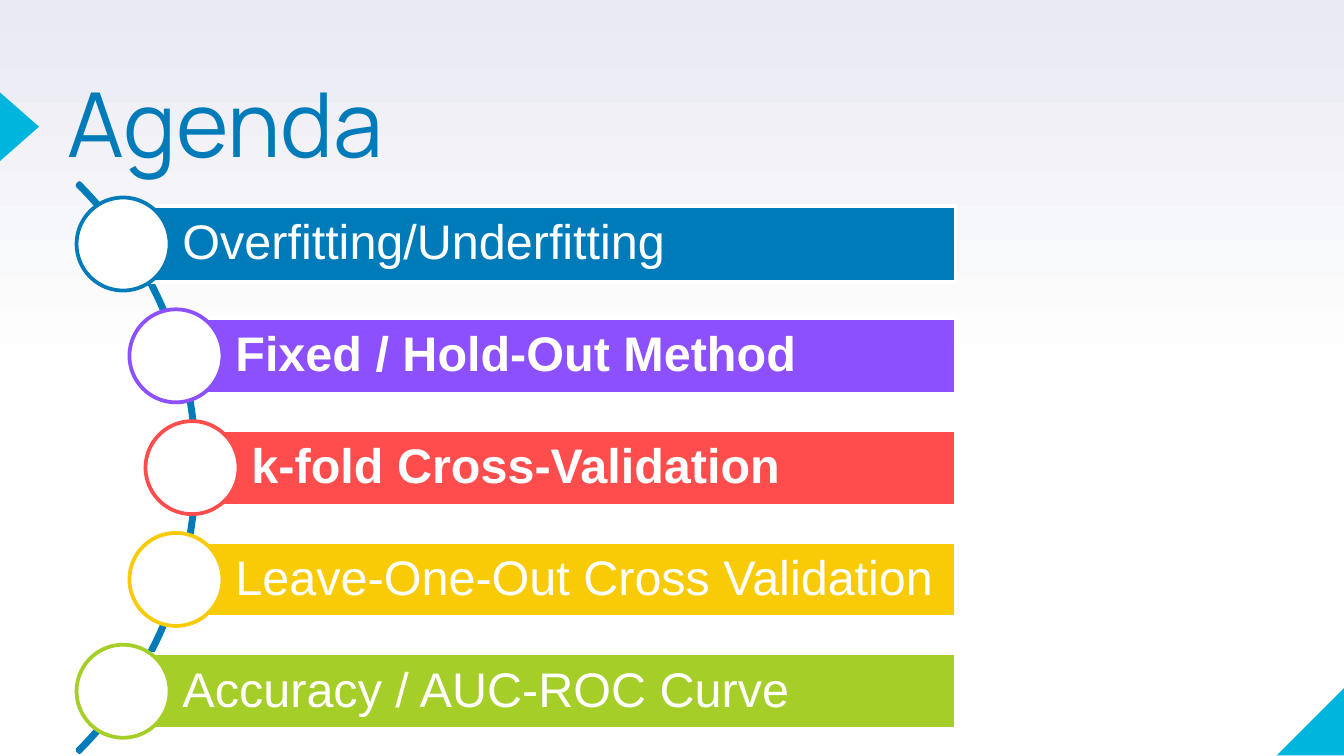
from copy import deepcopy
from math import sqrt

from pptx import Presentation, util as u
from pptx.dml.color import RGBColor
from pptx.enum import shapes, text
from pptx.oxml.ns import qn

WIDTH = 10
HEIGHT = WIDTH * 9 / 16
WHITE = RGBColor(0xFF, 0xFF, 0xFF)
MIST = RGBColor(0xE9, 0xEA, 0xF2)
CYAN = RGBColor(0x00, 0xB5, 0xDD)
BLUE = RGBColor(0x00, 0x7B, 0xB9)
PURPLE = RGBColor(0x8C, 0x50, 0xFF)
RED = RGBColor(0xFF, 0x4D, 0x4D)
YELLOW = RGBColor(0xF9, 0xCB, 0x07)
GREEN = RGBColor(0xA6, 0xCE, 0x28)

TOPICS = [
    ("Overfitting/Underfitting", BLUE, False),
    ("Fixed / Hold-Out Method", PURPLE, True),
    ("k-fold Cross-Validation", RED, True),
    ("Leave-One-Out Cross Validation", YELLOW, False),
    ("Accuracy / AUC-ROC Curve", GREEN, False),
]


def add_shape(slide, kind, box, fill=None, line=None):
    """Add a preset shape in a box of inches, with optional fill and outline."""
    shape = slide.shapes.add_shape(kind, *map(u.Inches, box))
    shape.shadow.inherit = False
    if fill is None:
        shape.fill.background()
    else:
        shape.fill.solid()
        shape.fill.fore_color.rgb = fill
    if line is None:
        shape.line.fill.background()
    else:
        shape.line.color.rgb = line
        shape.line.width = u.Pt(2)
    return shape


def write(shape, words, font, size, color, spacing, margins, anchor, bold=False):
    """Write one left-aligned, wrapped paragraph into a shape."""
    frame = shape.text_frame
    frame.text = words
    frame.word_wrap = True
    frame.vertical_anchor = anchor
    frame.margin_left, frame.margin_top, frame.margin_right, frame.margin_bottom = map(u.Inches, margins)
    paragraph = frame.paragraphs[0]
    paragraph.alignment = text.PP_ALIGN.LEFT
    paragraph.line_spacing = spacing
    style = paragraph.runs[0].font
    style.name, style.size, style.bold = font, u.Pt(size), bold
    style.color.rgb = color


def paint_background(slide):
    """Fade the slide from mist at the top to white at half height."""
    fill = slide.background.fill
    fill.gradient()
    fill.gradient_angle = 90
    first, last = fill.gradient_stops
    first.color.rgb, last.color.rgb = WHITE, MIST
    first.position, last.position = 0, 1
    stops = slide.element.find(".//" + qn("a:gsLst"))
    middle = deepcopy(stops[0])
    middle.set("pos", "50000")
    stops.insert(1, middle)


def add_corner(slide, left, top, size):
    """Place the triangle of the lower right corner."""
    corner = add_shape(slide, shapes.MSO_SHAPE.RIGHT_TRIANGLE, (left, top, size, size), CYAN)
    corner.element.spPr.find(qn("a:xfrm")).set("flipH", "1")


def add_heading(slide, words, left, top, width, height):
    """Place the title and the pointer at the slide's left edge."""
    base, depth = 0.51, 0.29
    middle = top + 0.24 * height
    box = ((depth - base) / 2, middle - depth / 2, base, depth)
    pointer = add_shape(slide, shapes.MSO_SHAPE.ISOSCELES_TRIANGLE, box, CYAN)
    pointer.rotation = 90
    title = slide.shapes.add_textbox(*map(u.Inches, (left, top, width, height)))
    write(title, words, "Manrope", 48, BLUE, 0.8, (0, 0, 0, 0), text.MSO_ANCHOR.TOP)


def add_agenda(slide, topics, left, top, width, height):
    """Place topic bars whose discs follow an arc through the box."""
    bar = 0.14 * height
    disc, radius, arc_size = 1.23 * bar, 5.25 * bar, 10.64 * bar
    pitch = (height - disc) / (len(topics) - 1)
    middle = top + height / 2
    reach = (height - disc) / 2
    arc_x = left + disc / 2 - sqrt(radius**2 - reach**2)
    box = (arc_x - arc_size / 2, middle - arc_size / 2, arc_size, arc_size)
    arc = add_shape(slide, shapes.MSO_SHAPE.BLOCK_ARC, box, line=BLUE)
    for index, value in enumerate((189, 27, 0.004)):
        arc.adjustments[index] = value

    for index, (words, color, bold) in enumerate(topics):
        y = top + disc / 2 + index * pitch
        x = arc_x + sqrt(radius**2 - (y - middle) ** 2)
        box = (x, y - bar / 2, left + width - x, bar)
        topic = add_shape(slide, shapes.MSO_SHAPE.RECTANGLE, box, color, WHITE)
        margins = (0.11 * height, 0.07, 0.07, 0.07)
        write(topic, words, "Arial", 26, WHITE, 0.9, margins, text.MSO_ANCHOR.MIDDLE, bold)
        box = (x - disc / 2, y - disc / 2, disc, disc)
        add_shape(slide, shapes.MSO_SHAPE.OVAL, box, WHITE, color)


def main():
    """Build and save the agenda slide."""
    presentation = Presentation()
    presentation.slide_width, presentation.slide_height = u.Inches(WIDTH), u.Inches(HEIGHT)
    slide = presentation.slides.add_slide(presentation.slide_layouts[6])
    paint_background(slide)
    add_corner(slide, 9.5, 5.11, 0.51)
    add_heading(slide, "Agenda", 0.5, 0.66, 6.17, 1.18)
    add_agenda(slide, TOPICS, 0.57, 1.47, 6.54, 4.02)
    presentation.save("out.pptx")


if __name__ == "__main__":
    main()
